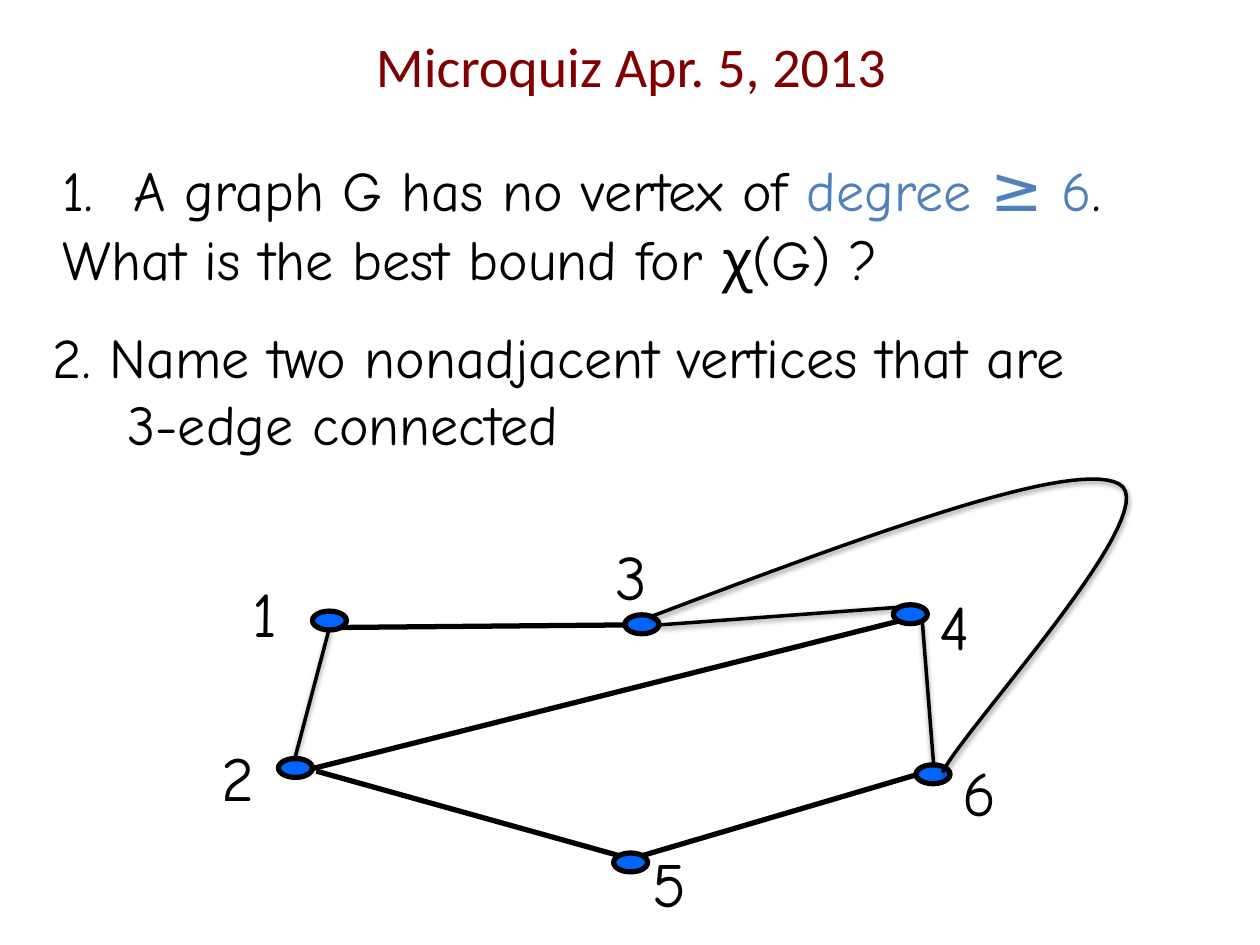
from lxml.etree import SubElement
from pptx import Presentation
from pptx.dml.color import RGBColor
from pptx.enum.shapes import MSO_CONNECTOR, MSO_SHAPE
from pptx.enum.text import MSO_AUTO_SIZE, PP_ALIGN
from pptx.oxml.ns import qn
from pptx.util import Inches, Pt

COLORS = {"ink": "000000", "title": "800000", "accent": "4F81BD", "vertex": "0066FF"}
COLUMNS, ROWS = 100, 75


class QuizSlide:
    font = "Comic Neue"

    def __init__(self, presentation):
        self.slide = presentation.slides.add_slide(presentation.slide_layouts[6])
        self.shapes = self.slide.shapes
        self.column = presentation.slide_width / COLUMNS
        self.row = presentation.slide_height / ROWS

    def place(self, column, row):
        return round(column * self.column), round(row * self.row)

    def color(self, name):
        return RGBColor.from_string(COLORS[name])

    def text(self, position, size, wrap=True, grow=True):
        shape = self.shapes.add_textbox(*self.place(*position), *self.place(*size))
        frame = shape.text_frame
        frame.word_wrap = wrap
        frame.auto_size = MSO_AUTO_SIZE.SHAPE_TO_FIT_TEXT if grow else MSO_AUTO_SIZE.NONE
        return frame

    def run(self, paragraph, text, size=32, color="ink", font=None):
        run = paragraph.add_run()
        run.text = text
        run.font.name = font or self.font
        run.font.size = Pt(size)
        run.font.color.rgb = self.color(color)

    def indent(self, paragraph, margin, first=0, numbered=False):
        properties = paragraph._p.get_or_add_pPr()
        properties.set("marL", str(Inches(margin)))
        properties.set("indent", str(Inches(first)))
        if numbered:
            SubElement(properties, qn("a:buFont"), typeface="+mj-lt")
            SubElement(properties, qn("a:buAutoNum"), type="arabicPeriod")

    def label(self, text, position, width=5.1):
        frame = self.text(position, (width, 7.1), wrap=False)
        self.run(frame.paragraphs[0], text, 36)

    def outline(self, shape, width):
        shape.line.color.rgb = self.color("ink")
        shape.line.width = Pt(width)

    def effects(self, shape, shadow):
        effects = SubElement(shape._element.spPr, qn("a:effectLst"))
        if shadow:
            outer = SubElement(effects, qn("a:outerShdw"), blurRad=str(Pt(3.1)),
                               dist=str(Pt(1.6)), dir="5400000", rotWithShape="0")
            tint = SubElement(outer, qn("a:srgbClr"), val=COLORS["ink"])
            SubElement(tint, qn("a:alpha"), val="38000")

    def vertex(self, position):
        shape = self.shapes.add_shape(MSO_SHAPE.OVAL, *self.place(*position), *self.place(2.7, 1.5))
        shape.shadow.inherit = False
        shape.fill.solid()
        shape.fill.fore_color.rgb = self.color("vertex")
        self.outline(shape, 3)

    def edge(self, start, end, width=3, shadow=False):
        line = self.shapes.add_connector(
            MSO_CONNECTOR.STRAIGHT, *self.place(*start), *self.place(*end))
        self.outline(line, width)
        self.effects(line, shadow)

    def curve(self, start, segments, steps=30):
        points = []
        origin = start
        for first, second, end in segments:
            for step in range(1, steps + 1):
                t = step / steps
                weights = ((1 - t) ** 3, 3 * t * (1 - t) ** 2, 3 * t ** 2 * (1 - t), t ** 3)
                knots = (origin, first, second, end)
                points.append(self.place(*(
                    sum(weight * knot[axis] for weight, knot in zip(weights, knots))
                    for axis in (0, 1))))
            origin = end
        builder = self.shapes.build_freeform(*self.place(*start))
        builder.add_line_segments(points, close=False)
        shape = builder.convert_to_shape()
        shape.fill.background()
        self.outline(shape, 2)
        self.effects(shape, True)


def add_questions(quiz):
    first = quiz.text((4, 11.3), (90.9, 12.5), wrap=False)
    paragraph = first.paragraphs[0]
    quiz.indent(paragraph, 0.56, -0.56, numbered=True)
    for text, size, color in (
        ("A graph G has no vertex of ", 32, "ink"),
        ("degree ", 32, "accent"),
        ("≥", 36, "accent"),
        (" 6", 32, "accent"),
        (".", 32, "ink"),
    ):
        quiz.run(paragraph, text, size, color)
    quiz.run(first.add_paragraph(), "What is the best bound for χ(G) ?")

    title = quiz.text((25.2, 2), (49.8, 8.1), grow=False).paragraphs[0]
    title.alignment = PP_ALIGN.CENTER
    quiz.run(title, "Microquiz Apr. 5, 2013", color="title", font="Calibri")

    second = quiz.text((3.2, 25.1), (94.1, 11.8))
    quiz.run(second.paragraphs[0], "2. Name two nonadjacent vertices that are")
    paragraph = second.add_paragraph()
    quiz.indent(paragraph, 0.59)
    quiz.run(paragraph, "3-edge connected")


def add_graph(quiz):
    quiz.label("1", (19.1, 45.1), 4.3)
    for text, position in (
        ("6", (75.4, 59.3)), ("5", (50.8, 66.5)), ("4", (73.6, 46.1)),
        ("2", (16.6, 58.1)), ("3", (47.9, 42.2)),
    ):
        quiz.label(text, position)
    for position in ((24.8, 48.5), (49.6, 48.8), (22.1, 60.2),
                     (72.7, 60.7), (70.9, 48), (48.7, 67.7)):
        quiz.vertex(position)
    for start, end in (
        ((24.8, 61), (71.3, 49.3)), ((27, 49.8), (49.6, 49.6)),
        ((51, 67.9), (72.7, 61.5)), ((25.1, 61.2), (49.1, 67.9)),
    ):
        quiz.edge(start, end)
    for start, end in (
        ((26.1, 50), (23.4, 60.2)), ((73.2, 49.3), (74.1, 60.7)),
        ((52.3, 49.6), (71.3, 48.2)),
    ):
        quiz.edge(start, end, width=2, shadow=True)
    quiz.curve((51.5, 49), (
        ((68.2, 42.7), (85, 36.4), (88.8, 38.4)),
        ((92.7, 40.4), (76.6, 57.7), (74.8, 61.3)),
    ))


def main():
    presentation = Presentation()
    presentation.slide_width = Inches(10)
    presentation.slide_height = Inches(7.5)
    quiz = QuizSlide(presentation)
    add_questions(quiz)
    add_graph(quiz)
    presentation.save("out.pptx")


if __name__ == "__main__":
    main()
